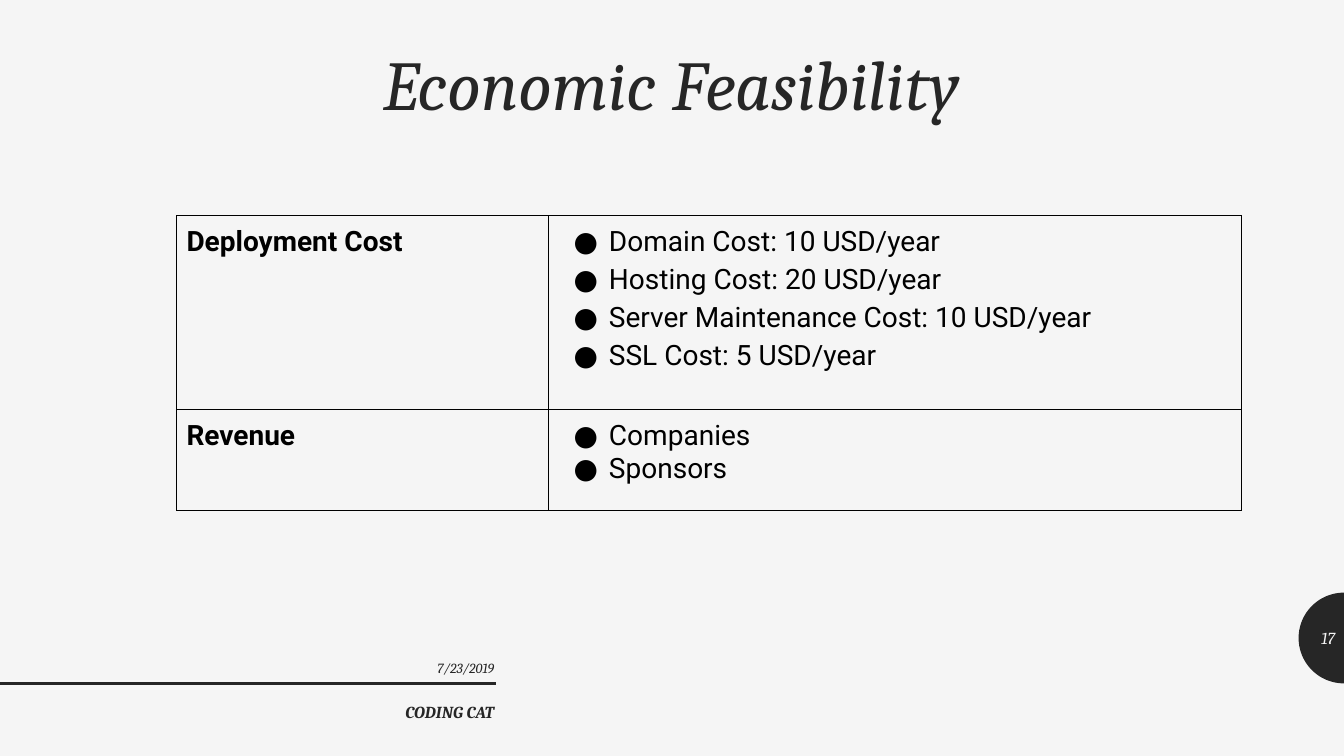
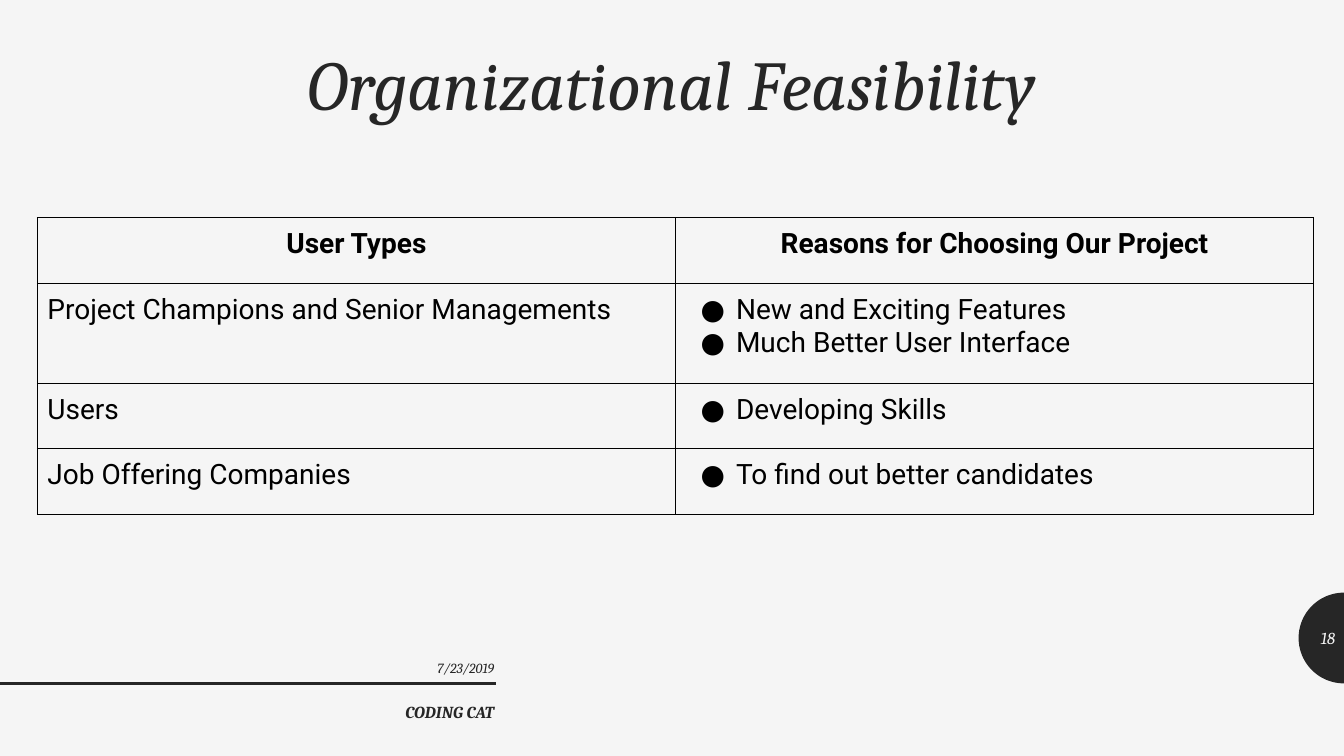
import math

from lxml import etree
from pptx import Presentation
from pptx.dml.color import RGBColor
from pptx.enum.shapes import MSO_CONNECTOR
from pptx.enum.text import MSO_ANCHOR, PP_ALIGN
from pptx.oxml.ns import qn
from pptx.util import Inches, Pt

LEFT, CENTER, RIGHT = PP_ALIGN.LEFT, PP_ALIGN.CENTER, PP_ALIGN.RIGHT
TOP, MIDDLE = MSO_ANCHOR.TOP, MSO_ANCHOR.MIDDLE
STRAIGHT = MSO_CONNECTOR.STRAIGHT
WIDTH, HEIGHT = 13.33, 7.5
DARK, LIGHT, BLACK = "262626", "F5F5F5", "000000"
BULLET = "●"

# Text styles
TITLE = {"name": "Cambria", "size": Pt(50), "italic": True, "bold": False}
DATE = {"name": "Cambria", "size": Pt(10), "italic": True}
FOOTER = {"name": "Cambria", "size": Pt(12), "italic": True, "bold": True}
NUMBER = {"name": "Cambria", "size": Pt(12), "italic": True}
BODY = {"name": "Roboto", "size": Pt(20), "bold": False}
HEADING = {**BODY, "bold": True}

# Slide contents: a cell is a heading or plain string, or a list of bullets
SLIDES = [
    {
        "title": "Economic Feasibility",
        "number": "17",
        "at": (1.75, 2.14),
        "columns": [3.69, 6.87],
        "rows": [1.92, 1],
        "heading_column": True,
        "cells": [
            ["Deployment Cost", ["Domain Cost: 10 USD/year", "Hosting Cost: 20 USD/year",
                                 "Server Maintenance Cost: 10 USD/year", "SSL Cost: 5 USD/year"]],
            ["Revenue", ["Companies", "Sponsors"]],
        ],
        "loose_rows": [0],
    },
    {
        "title": "Organizational Feasibility",
        "number": "18",
        "at": (0.37, 2.16),
        "columns": [6.33, 6.33],
        "rows": [0.65, 0.99, 0.65, 0.65],
        "heading_column": False,
        "cells": [
            ["User Types", "Reasons for Choosing Our Project"],
            ["Project Champions and Senior Managements",
             ["New and Exciting Features", "Much Better User Interface"]],
            ["Users", ["Developing Skills"]],
            ["Job Offering Companies", ["To find out better candidates"]],
        ],
        "loose_rows": [],
    },
]


def color(value):
    return RGBColor.from_string(value)


def write(paragraph, text, style, text_color, alignment=LEFT):
    paragraph.alignment = alignment
    run = paragraph.add_run()
    run.text = text
    for name, value in style.items():
        setattr(run.font, name, value)
    run.font.color.rgb = color(text_color)


presentation = Presentation()
presentation.slide_width = Inches(WIDTH)
presentation.slide_height = Inches(HEIGHT)
background = presentation.slide_master.background.fill
background.solid()
background.fore_color.rgb = color(LIGHT)

for content in SLIDES:
    slide = presentation.slides.add_slide(presentation.slide_layouts[5])
    shapes = slide.shapes

    # Half disc behind the slide number
    radius, center_y = 0.45, 6.33
    arc = [(WIDTH - radius * math.sin(math.radians(angle)),
            center_y + radius * math.cos(math.radians(angle)))
           for angle in range(0, 181, 4)]
    points = [(Inches(x), Inches(y)) for x, y in arc]
    builder = shapes.build_freeform(*points[0])
    builder.add_line_segments(points[1:], close=True)
    half_disc = builder.convert_to_shape()
    half_disc.shadow.inherit = False
    half_disc.fill.solid()
    half_disc.fill.fore_color.rgb = color(DARK)
    half_disc.line.fill.background()

    # Footer rule
    rule = shapes.add_connector(STRAIGHT, 0, Inches(6.78), Inches(4.92), Inches(6.78))
    rule.line.color.rgb = color(DARK)
    rule.line.width = Pt(2)
    etree.SubElement(rule.element.spPr, qn("a:effectLst"))

    # Date, footer and slide number
    for text, box, style, text_color, anchor in [
        ("7/23/2019", (0.83, 6.49, 4.17, 0.4), DATE, DARK, TOP),
        ("CODING CAT", (0.83, 6.91, 4.17, 0.4), FOOTER, DARK, TOP),
        (content["number"], (12.89, 6.13, 0.45, 0.4), NUMBER, LIGHT, MIDDLE),
    ]:
        frame = shapes.add_textbox(*map(Inches, box)).text_frame
        frame.word_wrap = True
        frame.vertical_anchor = anchor
        write(frame.paragraphs[0], text, style, text_color, RIGHT)

    # Title
    title = shapes.title
    title.left, title.top = 0, 0
    title.width, title.height = Inches(WIDTH), Inches(1.75)
    frame = title.text_frame
    frame.vertical_anchor = MIDDLE
    for side in ("left", "right", "top", "bottom"):
        setattr(frame, f"margin_{side}", Inches(0.1))
    frame.paragraphs[0].line_spacing = 0.9
    write(frame.paragraphs[0], content["title"], TITLE, DARK, CENTER)

    # Table grid
    columns, rows = content["columns"], content["rows"]
    box = (*content["at"], sum(columns), sum(rows))
    table = shapes.add_table(len(rows), len(columns), *map(Inches, box)).table
    table.first_row = not content["heading_column"]
    table.first_col = content["heading_column"]
    table.horz_banding = False
    for column, width in zip(table.columns, columns):
        column.width = Inches(width)
    for row, height in zip(table.rows, rows):
        row.height = Inches(height)

    # Table cells
    for row_index, row_cells in enumerate(content["cells"]):
        for column_index, entry in enumerate(row_cells):
            cell = table.cell(row_index, column_index)
            for side in ("left", "right", "top", "bottom"):
                setattr(cell, f"margin_{side}", Inches(0.1))
            properties = cell._tc.get_or_add_tcPr()
            for tag in ("a:lnL", "a:lnR", "a:lnT", "a:lnB"):
                border = etree.SubElement(properties, qn(tag), w=str(Pt(0.75)))
                fill = etree.SubElement(border, qn("a:solidFill"))
                etree.SubElement(fill, qn("a:srgbClr"), val=BLACK)
            cell.fill.background()

            frame = cell.text_frame
            if isinstance(entry, str):
                is_header = table.first_row and row_index == 0
                is_heading = is_header or (table.first_col and column_index == 0)
                write(frame.paragraphs[0], entry, HEADING if is_heading else BODY,
                      BLACK, CENTER if is_header else LEFT)
                continue
            for index, text in enumerate(entry):
                paragraph = frame.add_paragraph() if index else frame.paragraphs[0]
                paragraph_properties = paragraph._p.get_or_add_pPr()
                paragraph_properties.set("marL", str(Inches(0.5)))
                paragraph_properties.set("indent", str(Inches(-0.35)))
                etree.SubElement(paragraph_properties, qn("a:buFont"), typeface="Roboto")
                etree.SubElement(paragraph_properties, qn("a:buChar"), char=BULLET)
                if index and row_index in content["loose_rows"]:
                    paragraph.line_spacing = 1.15
                write(paragraph, text, BODY, BLACK)

presentation.save("out.pptx")
